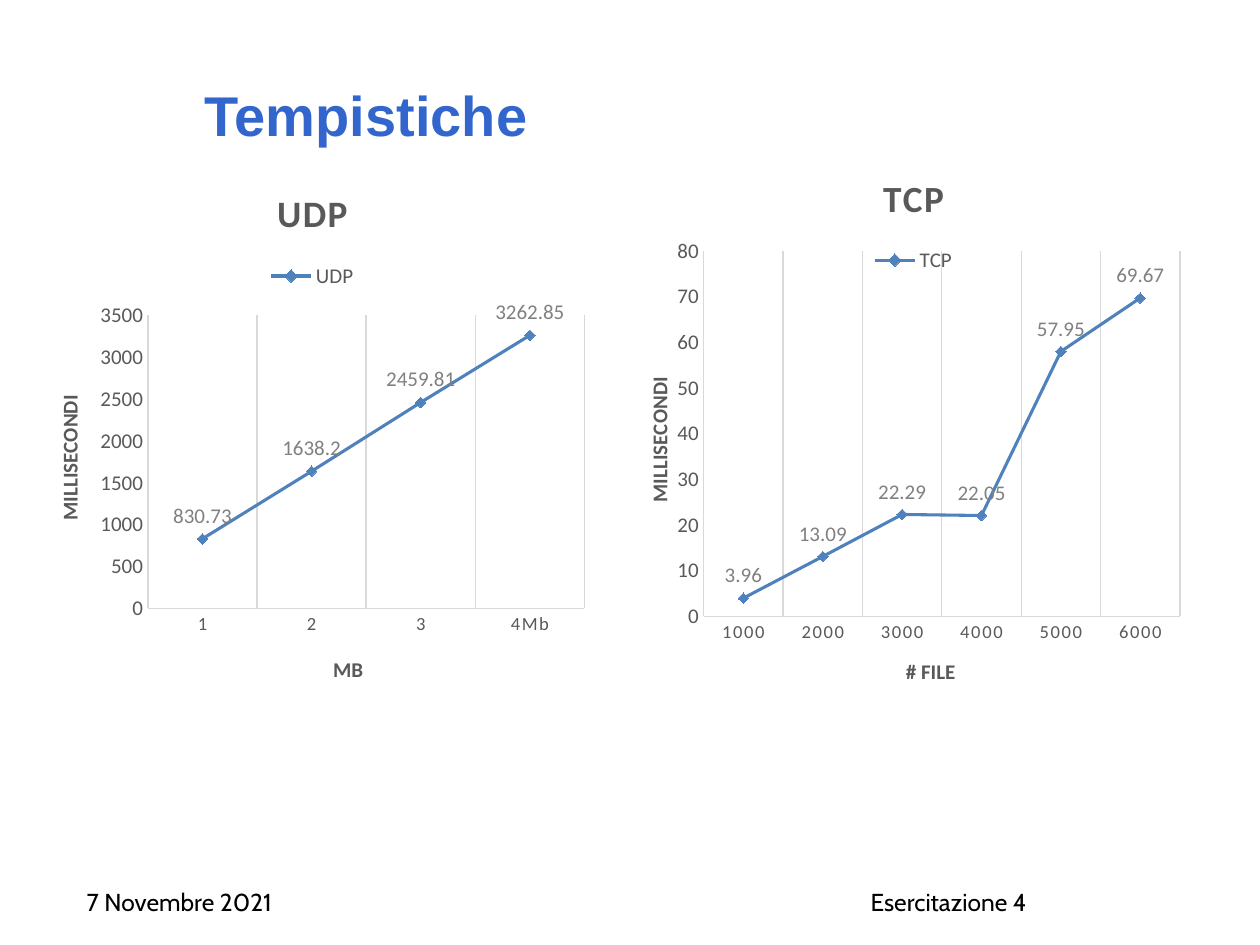
from lxml import etree
from pptx import Presentation
from pptx import util as u
from pptx.chart import data as chart_data
from pptx.dml.color import RGBColor
from pptx.enum import chart as charts, text
from pptx.oxml.ns import qn

GREY, RULE, BLUE = "595959", "D9D9D9", "4F81BD"


def colour(value):
    """Turn a hex string into a colour."""
    return RGBColor.from_string(value)


def style_font(font, size, shade, name="Calibri", bold=False):
    """Set the look of a font."""
    font.size, font.name, font.bold = u.Pt(size), name, bold
    font.color.rgb = colour(shade)


def style_line(line, shade, width):
    """Set the colour and width of a line."""
    line.color.rgb, line.width = colour(shade), u.Pt(width)


def place(shape, left, top, width, height):
    """Move and size a shape, in points."""
    shape.left, shape.top = u.Pt(left), u.Pt(top)
    shape.width, shape.height = u.Pt(width), u.Pt(height)


def fill_text(shape, content, size, shade, name, bold=False, before=0):
    """Write one left-aligned paragraph in a shape without margins."""
    frame = shape.text_frame
    frame.word_wrap, frame.vertical_anchor = True, text.MSO_ANCHOR.TOP
    frame.margin_left = frame.margin_top = frame.margin_right = frame.margin_bottom = 0
    frame.text = content
    para = frame.paragraphs[0]
    para.alignment, para.space_before = text.PP_ALIGN.LEFT, u.Pt(before)
    style_font(para.font, size, shade, name, bold)


def add_footer(page, content, left, width, height):
    """Add a line of text at the foot of the page."""
    box = page.shapes.add_textbox(0, 0, 0, 0)
    place(box, left, 507, width, height)
    fill_text(box, content, 14, "000000", "Cabin", before=1.1)


def set_layout(element, inner=False, **fractions):
    """Give a chart part a fixed position, in fractions of the chart."""
    for old in element.findall(qn("c:layout")):
        element.remove(old)
    layout = etree.Element(qn("c:layout"))
    manual = etree.SubElement(layout, qn("c:manualLayout"))
    settings = {"layoutTarget": "inner"} if inner else {}
    settings.update(xMode="edge", yMode="edge", **fractions)
    for tag, value in settings.items():
        etree.SubElement(manual, qn("c:" + tag)).set("val", str(value))
    written = element.find(qn("c:tx"))
    element.insert(0 if written is None else 1, layout)


def write_title(title, content, size, spacing=0):
    """Write a bold chart or axis title."""
    title.text_frame.text = content
    span = title.text_frame.paragraphs[0].runs[0]
    style_font(span.font, size, GREY, bold=True)
    span.font._element.set("spc", str(spacing))


def style_axis(axis, title, size, left, top):
    """Format an axis and place its title."""
    write_title(axis.axis_title, title, 12)
    set_layout(axis.axis_title._element, x=left, y=top)
    axis.major_tick_mark = axis.minor_tick_mark = charts.XL_TICK_MARK.NONE
    style_font(axis.tick_labels.font, size, GREY)
    style_line(axis.format.line, RULE, 0.75)


def style_series(series):
    """Format the line, markers and labels of a series."""
    series.smooth = False
    style_line(series.format.line, BLUE, 1.75)
    marker = series.marker
    marker.style, marker.size = charts.XL_MARKER_STYLE.DIAMOND, 6
    marker.format.fill.solid()
    marker.format.fill.fore_color.rgb = colour(BLUE)
    style_line(marker.format.line, BLUE, 0.75)
    labels = series.data_labels
    labels.show_value, labels.position = True, charts.XL_LABEL_POSITION.ABOVE
    style_font(labels.font, 12, "808080")


def add_timing_chart(page, name, left, top, points, unit, scale, plot, unit_at, time_at):
    """Add a line chart of milliseconds against a unit."""
    data = chart_data.CategoryChartData()
    data.categories = list(points)
    data.add_series(name, list(points.values()))
    chart = page.shapes.add_chart(
        charts.XL_CHART_TYPE.LINE_MARKERS, u.Pt(left), u.Pt(top), u.Pt(324), u.Pt(310), data
    ).chart
    style_font(chart.font, 10, "000000")
    chart.has_title = True
    write_title(chart.chart_title, name, 21.3, spacing=100)
    chart.has_legend = True
    chart.legend.position = charts.XL_LEGEND_POSITION.TOP
    chart.legend.include_in_layout = False
    style_font(chart.legend.font, 12, GREY)

    style_axis(chart.category_axis, unit, 10.6, *unit_at)
    chart.category_axis.tick_labels.font._element.set("spc", "100")
    chart.category_axis.has_major_gridlines = True
    style_line(chart.category_axis.major_gridlines.format.line, RULE, 0.75)
    style_axis(chart.value_axis, "MILLISECONDI", 12, *time_at)
    chart.value_axis.has_major_gridlines = False
    chart.value_axis.minimum_scale = 0
    chart.value_axis.maximum_scale, chart.value_axis.major_unit = scale

    chart.plots[0].vary_by_categories = False
    style_series(chart.plots[0].series[0])
    area = chart._chartSpace.find(".//" + qn("c:plotArea"))
    set_layout(area, inner=True, **dict(zip("xywh", plot)))


def main():
    """Build the slide with both timing charts."""
    deck = Presentation()
    deck.slide_width, deck.slide_height = u.Pt(720), u.Pt(540)
    page = deck.slides.add_slide(deck.slide_layouts[5])
    place(page.shapes.title, 117, 46, 487, 39)
    fill_text(page.shapes.title, "Tempistiche", 32, "3366CC", "Arial", bold=True)
    add_footer(page, "7 Novembre 2021", 49.5, 125, 33)
    add_footer(page, "Esercitazione 4", 497.5, 204, 17)

    udp = {"1": 830.73, "2": 1638.2, "3": 2459.81, "4Mb": 3262.85}
    tcp = {"1000": 3.96, "2000": 13.09, "3000": 22.29,
           "4000": 22.05, "5000": 57.95, "6000": 69.67}
    add_timing_chart(page, "UDP", 16.5, 93.5, udp, "MB", (3500, 500),
                     (0.21, 0.28, 0.77, 0.54), (0.53, 0.9), (0.04, 0.42))
    add_timing_chart(page, "TCP", 360, 85, tcp, "# FILE", (80, 10),
                     (0.13, 0.19, 0.84, 0.68), (0.48, 0.94), (0.02, 0.42))
    deck.save("out.pptx")


if __name__ == "__main__":
    main()
